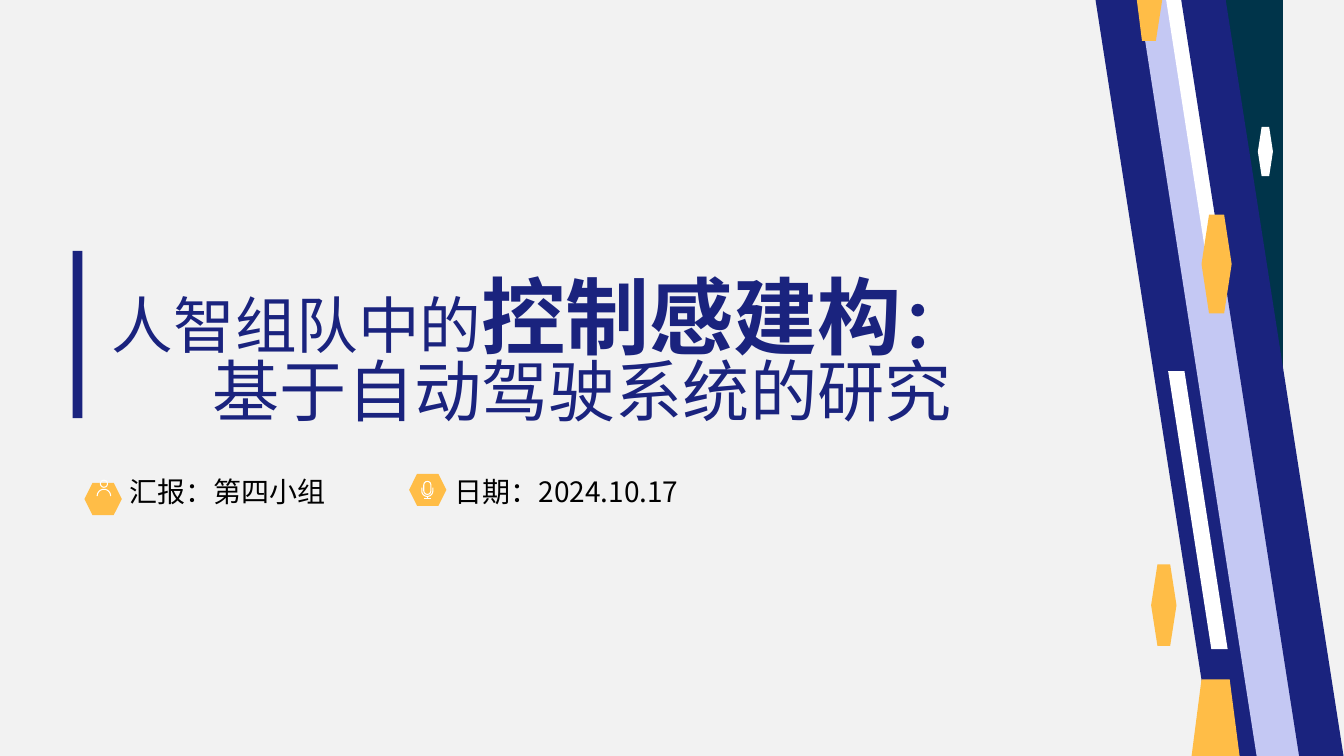
"""Build the title slide of a report on the sense of control in human-AI teams."""
from math import cos, pi, sin

from pptx import Presentation
from pptx.dml.color import RGBColor
from pptx.enum.shapes import MSO_CONNECTOR, MSO_SHAPE
from pptx.enum.text import MSO_ANCHOR, MSO_AUTO_SIZE, PP_ALIGN
from pptx.oxml.ns import qn
from pptx.util import Cm, Pt

NAVY, LILAC, TEAL = "1A237E", "C4C8F3", "00344A"
AMBER, WHITE, BLACK = "FFBD47", "FFFFFF", "000000"
FONT = "Noto Sans CJK SC"


def paint(shape, fill=None, line=None):
    """Give a shape a fill or an outline and remove its shadow."""
    shape.shadow.inherit = False
    for target, color in ((shape.fill, fill), (shape.line.fill, line)):
        if color:
            target.solid()
            target.fore_color.rgb = RGBColor.from_string(color)
        else:
            target.background()
    if line:
        shape.line.width = Pt(0.75)


def style(run, size, color, bold=False):
    """Set the font of a run for Latin and Chinese characters."""
    run.font.name = FONT
    run.font.size = Pt(size)
    run.font.bold = bold
    run.font.color.rgb = RGBColor.from_string(color)
    east_asian = run.font._element.makeelement(qn("a:ea"), {"typeface": FONT})
    run.font._element.find(qn("a:latin")).addnext(east_asian)


presentation = Presentation()
presentation.slide_width, presentation.slide_height = Cm(33.87), Cm(19.05)
slide = presentation.slides.add_slide(presentation.slide_layouts[5])
slide.background.fill.solid()
slide.background.fill.fore_color.rgb = RGBColor.from_string("F2F2F2")
shapes = slide.shapes

triangle = shapes.add_shape(MSO_SHAPE.RIGHT_TRIANGLE, Cm(29.51), 0, Cm(2.82), Cm(10.57))
triangle.rotation = 180
paint(triangle, TEAL)

bands = [
    (27.61, 0, 4.09, 19.05, NAVY),
    (28.7, 0, 4.09, 19.05, LILAC),
    (29.39, 0, 1.5, 7.01, WHITE),
    (29.77, 0, 4.09, 19.05, NAVY),
    (29.44, 9.35, 1.5, 7.01, WHITE),
]
for left, top, width, height, color in bands:
    band = shapes.add_shape(MSO_SHAPE.PARALLELOGRAM, Cm(left), Cm(top), Cm(width), Cm(height))
    band.adjustments[0] = 0.726
    band._element.spPr.find(qn("a:xfrm")).set("flipH", "1")
    paint(band, color)

hexagons = [
    (30.28, 5.41, 0.76, 2.49, AMBER),
    (29.01, 14.22, 0.64, 2.06, AMBER),
    (31.7, 3.2, 0.38, 1.24, WHITE),
    (10.31, 11.94, 0.94, 0.81, AMBER),
    (2.13, 12.17, 0.94, 0.81, AMBER),
]
for left, top, width, height, color in hexagons:
    hexagon = shapes.add_shape(MSO_SHAPE.HEXAGON, Cm(left), Cm(top), Cm(width), Cm(height))
    paint(hexagon, color)

half_circle = [step * pi / 12 for step in range(13)]
shoulders = [(2.62 - 0.17 * cos(angle), 12.5 - 0.17 * sin(angle)) for angle in half_circle]
cradle = [(10.77 - 0.14 * cos(angle), 12.37 + 0.14 * sin(angle)) for angle in half_circle]
outlines = [
    ([(28.65, 0), (29.29, 0), (29.13, 1.03), (28.78, 1.03)], True, AMBER, None),
    ([(30.28, 17.12), (30.99, 17.12), (31.24, 19.05), (30.03, 19.05)], True, AMBER, None),
    (shoulders, False, None, WHITE),
    ([(10.63, 12.29)] + cradle + [(10.91, 12.29)], False, None, WHITE),
]
for points, closed, fill, line in outlines:
    corners = [(Cm(x), Cm(y)) for x, y in points]
    builder = shapes.build_freeform(*corners[0])
    builder.add_line_segments(corners[1:], close=closed)
    paint(builder.convert_to_shape(), fill, line)

head = shapes.add_shape(MSO_SHAPE.OVAL, Cm(2.53), Cm(12.1), Cm(0.18), Cm(0.18))
paint(head, line=WHITE)
microphone = shapes.add_shape(MSO_SHAPE.ROUNDED_RECTANGLE, Cm(10.68), Cm(12.13), Cm(0.18), Cm(0.33))
microphone.adjustments[0] = 0.5
paint(microphone, line=WHITE)
for ends in ((10.77, 12.51, 10.77, 12.56), (10.68, 12.56, 10.86, 12.56)):
    stand = shapes.add_connector(MSO_CONNECTOR.STRAIGHT, *[Cm(end) for end in ends])
    stand.line.width = Pt(0.75)
    stand.line.color.rgb = RGBColor.from_string(WHITE)
    properties = stand._element.spPr
    properties.append(properties.makeelement(qn("a:effectLst"), {}))

accent_bar = shapes.add_shape(MSO_SHAPE.RECTANGLE, Cm(1.83), Cm(6.32), Cm(0.25), Cm(4.22))
paint(accent_bar, NAVY)

title = shapes.title
title.left, title.top, title.width, title.height = Cm(2.82), Cm(6.2), Cm(23.77), Cm(4.62)
frame = title.text_frame
frame.margin_left = frame.margin_top = frame.margin_right = frame.margin_bottom = 0
frame.word_wrap = True
frame.auto_size = MSO_AUTO_SIZE.NONE
frame.vertical_anchor = MSO_ANCHOR.BOTTOM
title_lines = [
    [("人智组队中的", 44, False), ("控制感建构", 60, True), ("：", 48, True)],
    [("基于自动驾驶系统的研究", 48, False)],
]
for index, pieces in enumerate(title_lines):
    paragraph = frame.paragraphs[0] if index == 0 else frame.add_paragraph()
    paragraph.alignment = PP_ALIGN.LEFT
    paragraph.line_spacing = 0.8
    paragraph.space_before = Pt(0)
    paragraph._p.get_or_add_pPr().set("marL", str(Cm(2.54) * index))
    for text, size, bold in pieces:
        run = paragraph.add_run()
        run.text = text
        style(run, size, NAVY, bold)

for left, width, text in ((3.02, 5.51, "汇报：第四小组"), (11.2, 6.35, "日期：2024.10.17")):
    label = shapes.add_textbox(Cm(left), Cm(11.84), Cm(width), Cm(1.12))
    label.text_frame.word_wrap = False
    label.text_frame.text = text
    style(label.text_frame.paragraphs[0].runs[0], 20, BLACK)

presentation.save("out.pptx")
